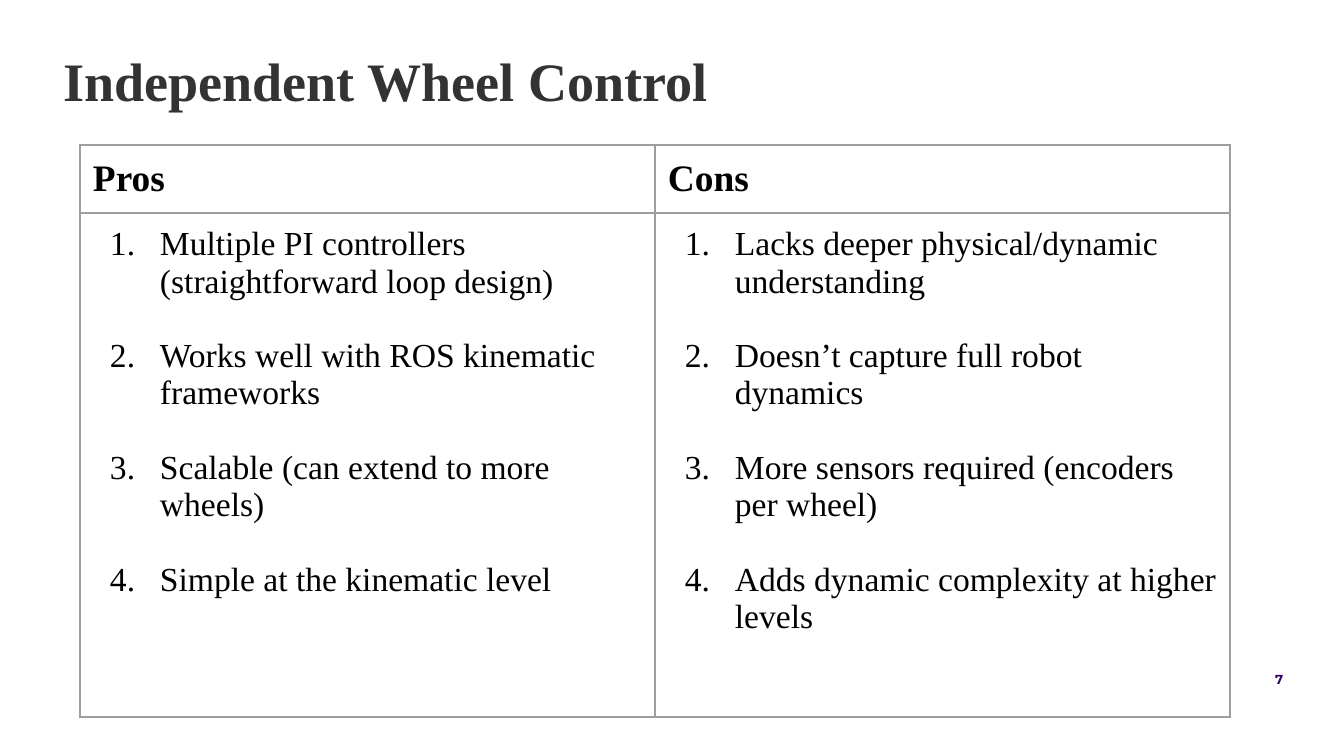
from lxml.etree import SubElement
from pptx import Presentation
from pptx.dml.color import RGBColor
from pptx.enum.text import MSO_ANCHOR as Anchor, PP_ALIGN as Align
from pptx.oxml import parse_xml
from pptx.oxml.ns import nsdecls, qn
from pptx.util import Emu, Pt

TITLE = "Independent Wheel Control"
LISTS = {
    "Pros": [
        "Multiple PI controllers (straightforward loop design)",
        "Works well with ROS kinematic frameworks",
        "Scalable (can extend to more wheels)",
        "Simple at the kinematic level",
    ],
    "Cons": [
        "Lacks deeper physical/dynamic understanding",
        "Doesn’t capture full robot dynamics",
        "More sensors required (encoders per wheel)",
        "Adds dynamic complexity at higher levels",
    ],
}
NUMBER = "7"

SERIF, SANS = "Times New Roman", "Montserrat"
BLACK = RGBColor(0x00, 0x00, 0x00)
DARK = RGBColor(0x33, 0x33, 0x33)
PURPLE = RGBColor(0x33, 0x06, 0x62)
GREY = RGBColor(0x9E, 0x9E, 0x9E)

WIDE, HIGH = 1344, 756
LEFT, TOP, COL = 80, 145, 575
ROWS = (68, 504)
PAD = 13
INDENT, HANG = 67, 50


def px(n):
    return Emu(round(n * 914400 / 134.4))


def add_run(para, text, size, color, bold=False, face=SERIF):
    run = para.add_run()
    run.text = text
    font = run.font
    font.name, font.size, font.bold = face, Pt(size), bold
    font.color.rgb = color


def set_pads(box):
    box.margin_left = box.margin_right = px(PAD)
    box.margin_top = box.margin_bottom = px(PAD)


def set_frame(frame):
    set_pads(frame)
    frame.word_wrap = True
    frame.vertical_anchor = Anchor.TOP


def style_cell(cell):
    """Clear the fill and draw a thin line on all four sides."""
    set_pads(cell)
    cell.vertical_anchor = Anchor.TOP
    cell.fill.background()
    props = cell._tc.get_or_add_tcPr()
    for i, side in enumerate("LRTB"):
        props.insert(i, parse_xml(
            f'<a:ln{side} {nsdecls("a")} w="{Pt(0.75)}"><a:solidFill>'
            f'<a:srgbClr val="{GREY}"/></a:solidFill></a:ln{side}>'))


def add_number(para):
    props = para._p.get_or_add_pPr()
    props.set("marL", str(px(INDENT)))
    props.set("indent", str(-px(HANG)))
    color = SubElement(props, qn("a:buClr"))
    SubElement(color, qn("a:srgbClr"), val=str(BLACK))
    SubElement(props, qn("a:buFont"), typeface=SERIF)
    SubElement(props, qn("a:buAutoNum"), type="arabicPeriod")


def fill_list(frame, items):
    for i, item in enumerate(items):
        para = frame.add_paragraph() if i else frame.paragraphs[0]
        if i:
            para.space_before = Pt(20)
        add_number(para)
        add_run(para, item, 18, BLACK)


deck = Presentation()
deck.slide_width, deck.slide_height = px(WIDE), px(HIGH)
slide = deck.slides.add_slide(deck.slide_layouts[5])

title = slide.shapes.title
title.left, title.top, title.width, title.height = map(px, (50, 47, 1239, 105))
set_frame(title.text_frame)
para = title.text_frame.paragraphs[0]
para.alignment, para.line_spacing = Align.LEFT, 0.8
add_run(para, TITLE, 29, DARK, True)

table = slide.shapes.add_table(
    len(ROWS), len(LISTS), px(LEFT), px(TOP),
    px(COL * len(LISTS)), px(sum(ROWS))).table
table.first_row = table.horz_banding = False
for row, size in zip(table.rows, ROWS):
    row.height = px(size)
for c, (head, items) in enumerate(LISTS.items()):
    table.columns[c].width = px(COL)
    top, body = table.cell(0, c), table.cell(1, c)
    style_cell(top)
    style_cell(body)
    add_run(top.text_frame.paragraphs[0], head, 20, BLACK, True)
    fill_list(body.text_frame, items)

box = slide.shapes.add_textbox(*map(px, (679, 664, 617, 46)))
set_frame(box.text_frame)
para = box.text_frame.paragraphs[0]
para.alignment = Align.RIGHT
add_run(para, NUMBER, 7, PURPLE, True, SANS)

deck.save("out.pptx")
